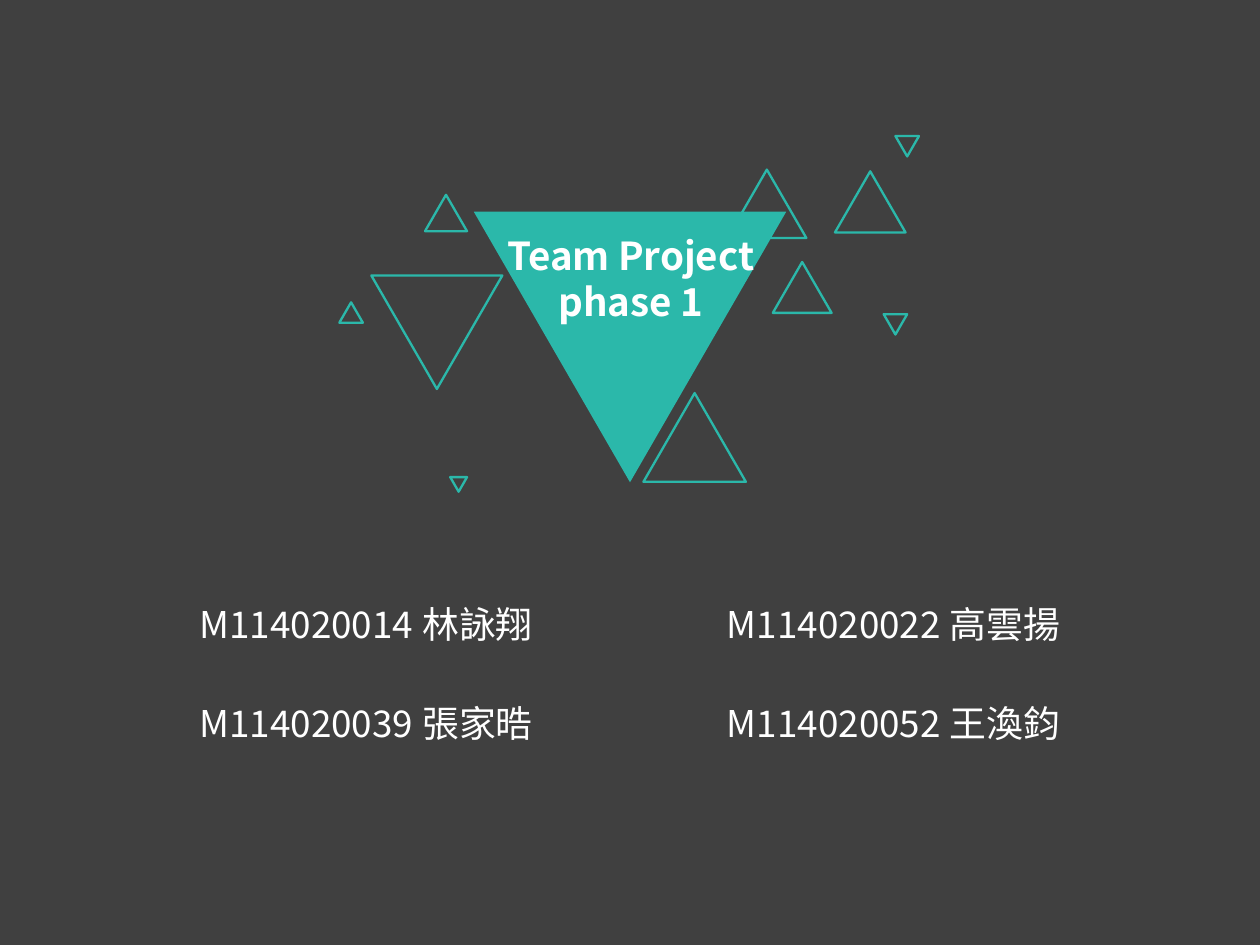
from dataclasses import dataclass
from itertools import product
from math import sqrt

from lxml.etree import SubElement
from pptx import Presentation
from pptx.dml.color import RGBColor
from pptx.enum.shapes import MSO_SHAPE
from pptx.enum.text import MSO_ANCHOR, MSO_AUTO_SIZE, PP_ALIGN
from pptx.oxml.ns import qn
from pptx.util import Inches, Pt


@dataclass(frozen=True)
class Theme:
    """Colours, typeface and type sizes of the deck."""
    backdrop: RGBColor = RGBColor.from_string("404040")
    accent: RGBColor = RGBColor.from_string("2BB8AA")
    text: RGBColor = RGBColor.from_string("FFFFFF")
    typeface: str = "Noto Sans CJK SC"
    title_size: float = 16.5
    member_size: float = 15.8
    leading: float = 1.2
    outline: float = 1


class Cover:
    """Draws on one slide, with lengths in grid cells of a tenth of an inch."""
    COLUMNS, ROWS = 75, 56.25
    FRAME = {
        "word_wrap": True,
        "auto_size": MSO_AUTO_SIZE.SHAPE_TO_FIT_TEXT,
        "vertical_anchor": MSO_ANCHOR.TOP,
        "margin_left": Inches(0.06),
        "margin_right": Inches(0.06),
        "margin_top": Inches(0.03),
        "margin_bottom": Inches(0.03),
    }

    def __init__(self, deck, theme):
        """Sets the slide size and opens a blank slide."""
        self.theme = theme
        deck.slide_width, deck.slide_height = self.cells(self.COLUMNS, self.ROWS)
        self.slide = deck.slides.add_slide(deck.slide_layouts[6])
        backdrop = self.slide.background.fill
        backdrop.solid()
        backdrop.fore_color.rgb = theme.backdrop

    @staticmethod
    def cells(*counts):
        """Turns cell counts into lengths."""
        return [Inches(count / 10) for count in counts]

    @staticmethod
    def style(target, values):
        """Sets every attribute in a dict of format values."""
        for name, value in values.items():
            setattr(target, name, value)

    def triangle(self, column, row, side, down=False, solid=False):
        """Adds an equilateral triangle, outlined or solid."""
        triangle = self.slide.shapes.add_shape(
            MSO_SHAPE.ISOSCELES_TRIANGLE,
            *self.cells(column, row, side, side * sqrt(3) / 2))
        triangle.shadow.inherit = False
        triangle.rotation = 180 if down else 0
        if solid:
            triangle.fill.solid()
            triangle.fill.fore_color.rgb = self.theme.accent
            triangle.line.fill.background()
        else:
            triangle.fill.background()
            triangle.line.width = Pt(self.theme.outline)
            triangle.line.color.rgb = self.theme.accent

    def caption(self, column, row, width, height, wording, size, bold=False):
        """Adds a centred line of text that wraps in its box."""
        frame = self.slide.shapes.add_textbox(
            *self.cells(column, row, width, height)).text_frame
        self.style(frame, self.FRAME)
        paragraph = frame.paragraphs[0]
        self.style(paragraph, {
            "alignment": PP_ALIGN.CENTER,
            "line_spacing": Pt(size * self.theme.leading),
        })
        run = paragraph.add_run()
        run.text = wording
        self.style(run.font, {
            "name": self.theme.typeface, "size": Pt(size), "bold": bold})
        run.font.color.rgb = self.theme.text
        SubElement(run._r.get_or_add_rPr(), qn("a:ea"),
                   typeface=self.theme.typeface)


UPWARD = [
    (38.3, 23.4, 6.1), (43.3, 10.1, 4.7), (46, 15.6, 3.5),
    (25.3, 11.6, 2.5), (20.2, 18, 1.4), (49.7, 10.2, 4.2),
]
DOWNWARD = [
    (22.1, 16.4, 7.8), (52.6, 18.7, 1.4), (26.8, 28.4, 1), (53.3, 8.1, 1.4),
]
MEMBERS = [
    "M114020014 林詠翔", "M114020022 高雲揚",
    "M114020039 張家晧", "M114020052 王渙鈞",
]


def main():
    """Builds the cover slide and saves it."""
    deck = Presentation()
    theme = Theme()
    cover = Cover(deck, theme)

    cover.triangle(28.2, 12.6, 18.6, down=True, solid=True)
    for place in UPWARD:
        cover.triangle(*place)
    for place in DOWNWARD:
        cover.triangle(*place, down=True)

    cover.caption(26.8, 13.5, 21.5, 6.1, "Team Project phase 1",
                  theme.title_size, bold=True)
    for (row, column), member in zip(product(range(2), repeat=2), MEMBERS):
        cover.caption(5.8 + 31.4 * column, 35.5 + 5.9 * row, 32, 3.2,
                      member, theme.member_size)

    deck.save("out.pptx")


if __name__ == "__main__":
    main()
